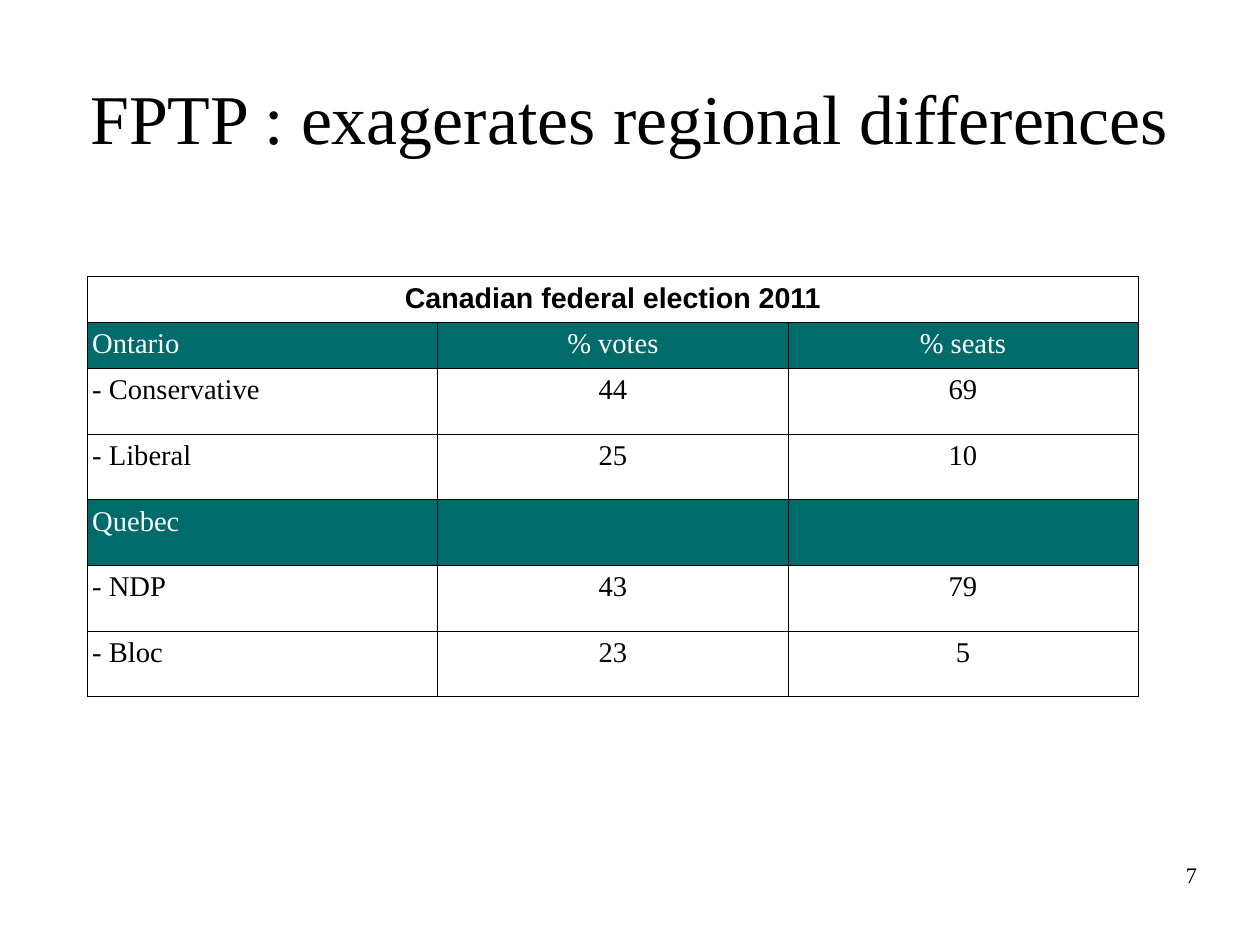
import lxml.etree
import pptx
import pptx.dml.color
import pptx.enum.text
import pptx.oxml.ns
import pptx.util

Cm = pptx.util.Cm
Pt = pptx.util.Pt
ALIGN = pptx.enum.text.PP_ALIGN
ANCHOR = pptx.enum.text.MSO_ANCHOR
SERIF = "Times New Roman"
BLACK, WHITE, TEAL = "000000", "FFFFFF", "006B6B"


def color(value):
    return pptx.dml.color.RGBColor.from_string(value)


def write(para, text, size, align, ink=BLACK, font=SERIF, bold=False):
    para.text = text
    para.alignment = align
    para.font.name = font
    para.font.size = Pt(size)
    para.font.bold = bold
    para.font.color.rgb = color(ink)


deck = pptx.Presentation()
deck.slide_width, deck.slide_height = Cm(28), Cm(21)
page = deck.slides.add_slide(deck.slide_layouts[6])

# Title and page number
for text, size, align, anchor, place in [
    ("FPTP : exagerates regional differences", 44, ALIGN.CENTER, ANCHOR.MIDDLE,
     (1.4, 0.97, 25.2, 3.25)),
    ("7", 14, ALIGN.RIGHT, ANCHOR.TOP, (20.07, 19.13, 6.53, 1.45)),
]:
    box = page.shapes.add_textbox(*[Cm(length) for length in place])
    frame = box.text_frame
    frame.word_wrap = True
    frame.vertical_anchor = anchor
    frame.margin_left = frame.margin_right = 0
    frame.margin_top = frame.margin_bottom = 0
    write(frame.paragraphs[0], text, size, align)

# Election results
results = [
    ("Canadian federal election 2011", "", ""),
    ("Ontario", "% votes", "% seats"),
    ("- Conservative", "44", "69"),
    ("- Liberal", "25", "10"),
    ("Quebec", "", ""),
    ("- NDP", "43", "79"),
    ("- Bloc", "23", "5"),
]
heights = [1.02] * 2 + [1.46] * 5
region_rows = (1, 4)

table = page.shapes.add_table(
    len(results), 3, Cm(1.95), Cm(6.14), Cm(23.34), Cm(sum(heights))).table
table.first_row = table.horz_banding = False
for column in table.columns:
    column.width = Cm(7.78)

for row, (height, values) in enumerate(zip(heights, results)):
    table.rows[row].height = Cm(height)
    for col, value in enumerate(values):
        cell = table.cell(row, col)
        cell.margin_left = cell.margin_right = Cm(0.1)
        cell.margin_top = cell.margin_bottom = Cm(0.13)
        properties = cell._tc.get_or_add_tcPr()
        for side in ("a:lnL", "a:lnR", "a:lnT", "a:lnB"):
            line = lxml.etree.SubElement(
                properties, pptx.oxml.ns.qn(side), w=str(Pt(0.57)))
            fill = lxml.etree.SubElement(line, pptx.oxml.ns.qn("a:solidFill"))
            lxml.etree.SubElement(fill, pptx.oxml.ns.qn("a:srgbClr"), val=BLACK)
        is_region = row in region_rows
        cell.fill.solid()
        cell.fill.fore_color.rgb = color(TEAL if is_region else WHITE)
        write(cell.text_frame.paragraphs[0], value, 18,
              ALIGN.LEFT if row and not col else ALIGN.CENTER,
              WHITE if is_region else BLACK,
              SERIF if row else "Arial", bold=row == 0)

table.cell(0, 0).merge(table.cell(0, 2))

deck.save("out.pptx")
